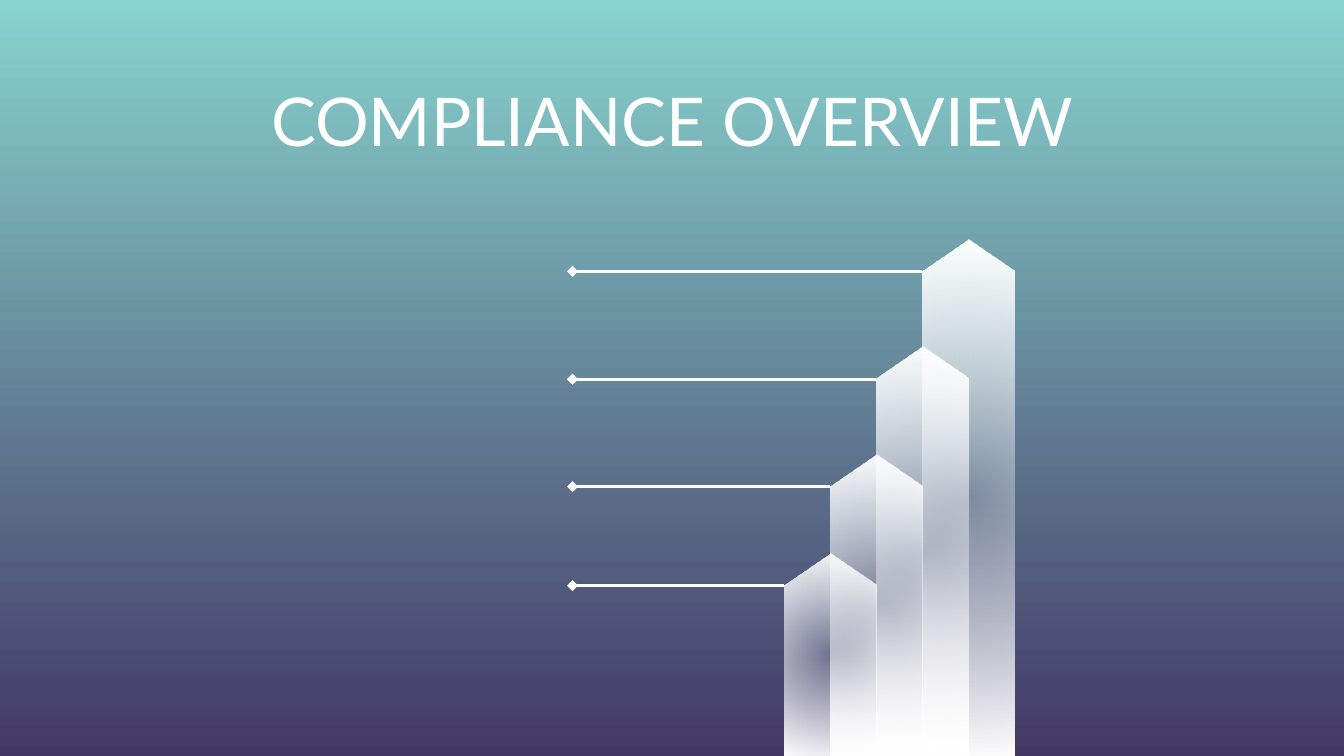
from pptx import Presentation
from pptx.dml.color import RGBColor
from pptx.enum.shapes import MSO_CONNECTOR
from pptx.enum.text import MSO_ANCHOR, PP_ALIGN
from pptx.oxml import parse_xml
from pptx.oxml.ns import nsdecls, qn
from pptx.util import Cm, Pt

COLORS = {"teal": "88D3CE", "purple": "423864", "white": "FFFFFF"}
WIDTH, HEIGHT = 25.4, 14.29

# Radial glow: see-through in the middle, solid at the edges
GLOW = f"""<a:gradFill {nsdecls('a')} rotWithShape="1"><a:gsLst>
<a:gs pos="0"><a:srgbClr val="{COLORS['white']}"><a:alpha val="21000"/></a:srgbClr></a:gs>
<a:gs pos="100000"><a:srgbClr val="{COLORS['white']}"/></a:gs></a:gsLst>
<a:path path="circle"><a:fillToRect l="50000" t="50000" r="50000" b="50000"/></a:path>
</a:gradFill>"""


def rgb(name):
    return RGBColor.from_string(COLORS[name])


def set_text(sp, text, size=18, font="Lato", color="white", align=PP_ALIGN.CENTER,
             anchor=MSO_ANCHOR.TOP, inset=0.25):
    tf = sp.text_frame
    tf.word_wrap = True
    tf.vertical_anchor = anchor
    tf.margin_left = tf.margin_right = tf.margin_top = tf.margin_bottom = Cm(inset)
    p = tf.paragraphs[0]
    p.alignment = align
    p.line_spacing = 1.0
    p.space_before = Pt(0)
    r = p.add_run()
    r.text = text
    r.font.size = Pt(size)
    r.font.name = font
    r.font.color.rgb = rgb(color)


prs = Presentation()
prs.slide_width, prs.slide_height = Cm(WIDTH), Cm(HEIGHT)
s = prs.slides.add_slide(prs.slide_layouts[0])

# Background, teal at the top to purple at the bottom
fill = s.background.fill
fill.gradient()
fill.gradient_angle = 270
for stop, name, position in zip(fill.gradient_stops, ("teal", "purple"), (0, 1)):
    stop.color.rgb = rgb(name)
    stop.position = position

# Title
subtitle = s.placeholders[1]._element
subtitle.getparent().remove(subtitle)
title = s.shapes.title
title.left, title.top, title.width, title.height = Cm(1.27), Cm(1.25), Cm(22.86), Cm(1.85)
set_text(title, "COMPLIANCE OVERVIEW", size=36)

# Towers with pointed roofs, each with a leader line to the left
HALF, ROOF, FIRST_LEFT, LINE_END = 0.87, 0.6, 14.82, 10.82
TOPS = [10.46, 8.59, 6.56, 4.52]
for step in (3, 1, 2, 0):
    top = TOPS[step]
    left = FIRST_LEFT + step * HALF
    right, shoulder = left + 2 * HALF, top + ROOF

    outline = [(left, shoulder), (left, HEIGHT), (right, HEIGHT), (right, shoulder)]
    builder = s.shapes.build_freeform(Cm(left + HALF), Cm(top))
    builder.add_line_segments([(Cm(x), Cm(y)) for x, y in outline], close=True)
    tower = builder.convert_to_shape()
    tower.shadow.inherit = False
    tower.line.fill.background()
    tower.fill.gradient()
    gradient = tower._element.spPr.find(qn("a:gradFill"))
    gradient.getparent().replace(gradient, parse_xml(GLOW))

    y = Cm(shoulder + 0.01)
    leader = s.shapes.add_connector(MSO_CONNECTOR.STRAIGHT, Cm(left), y, Cm(LINE_END), y)
    leader.line.color.rgb = rgb("white")
    leader.line.width = Pt(1.5)
    ln = leader.line._get_or_add_ln()
    ln.append(parse_xml(f'<a:tailEnd {nsdecls("a")} type="diamond"/>'))
    leader._element.spPr.append(parse_xml(f'<a:effectLst {nsdecls("a")}/>'))

prs.save("out.pptx")
